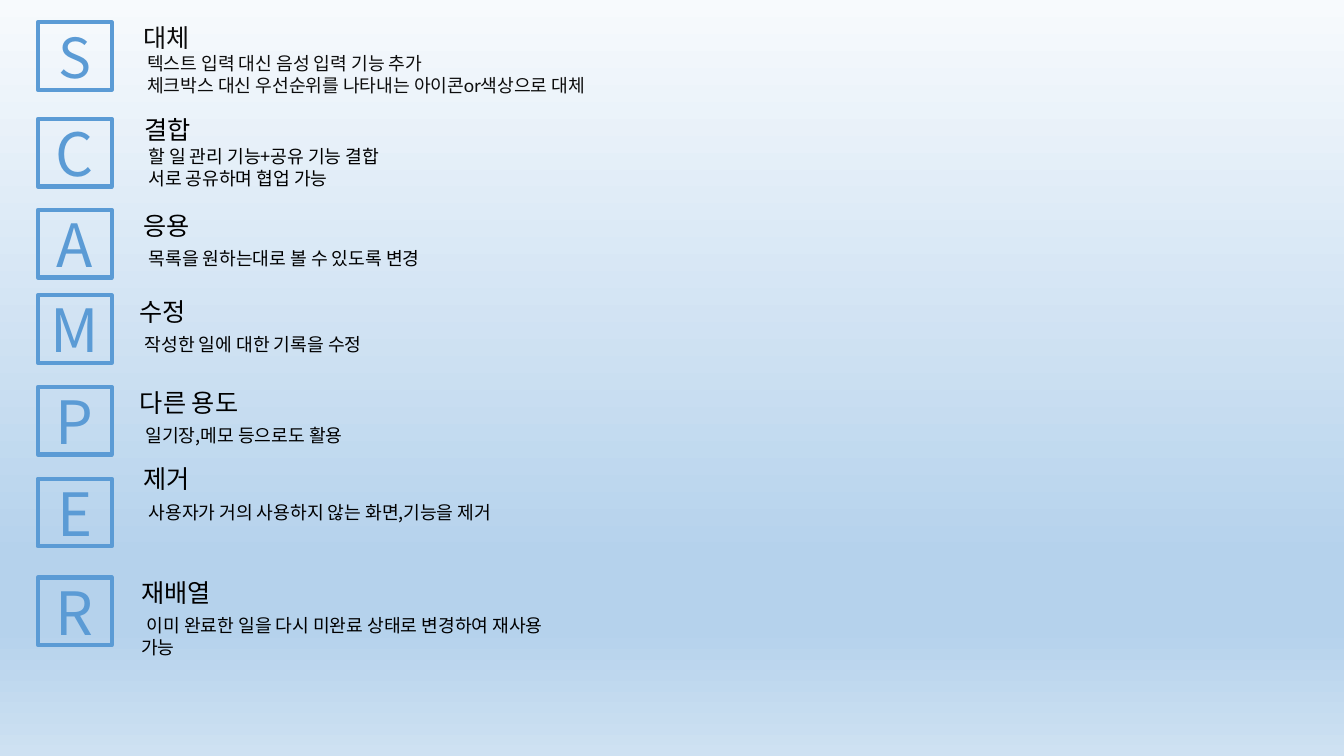
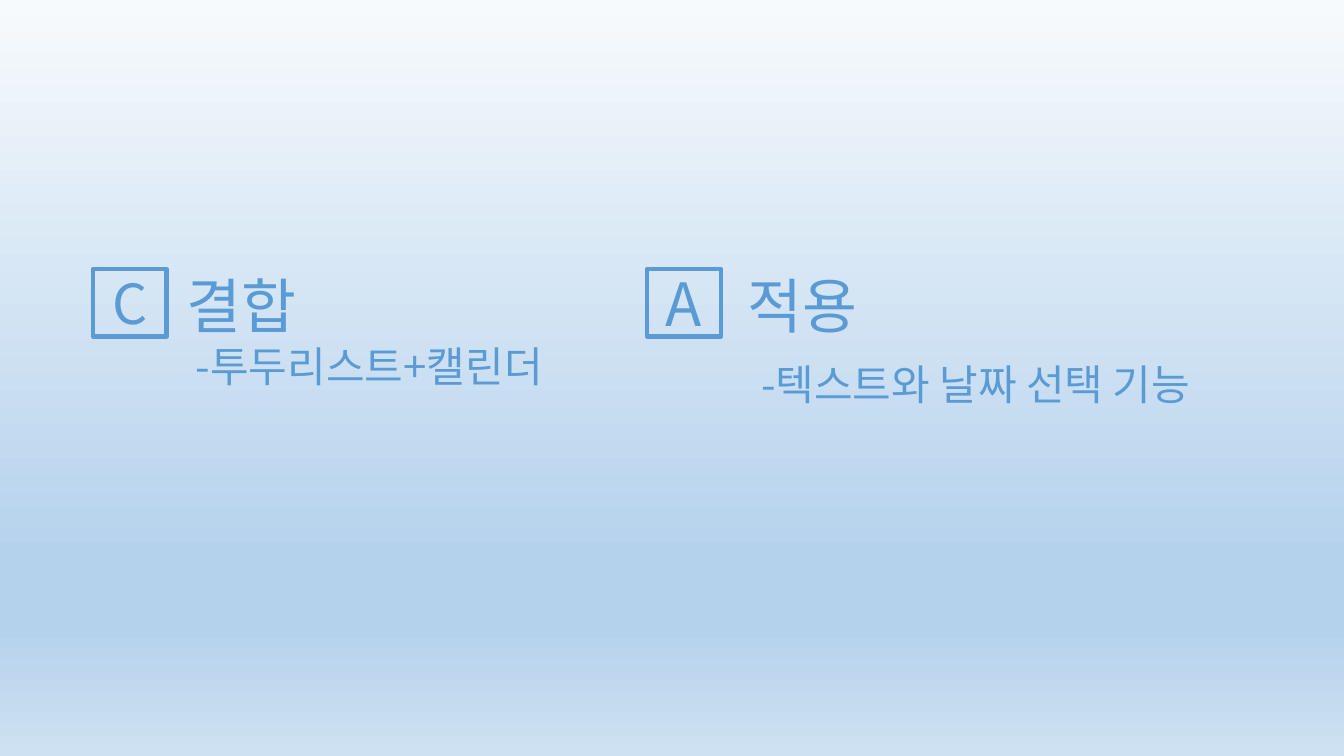
import dataclasses

import lxml.etree
import pptx
import pptx.dml.color
import pptx.enum.shapes
import pptx.enum.text
import pptx.oxml.ns
import pptx.util

Pt = pptx.util.Pt
RGBColor = pptx.dml.color.RGBColor

BLUE = RGBColor(0x5B, 0x9B, 0xD5)
BLACK = RGBColor(0, 0, 0)
CHARCOAL = RGBColor(0x0D, 0x0D, 0x0D)
MIST = RGBColor(0xF7, 0xFA, 0xFD)
SKY = RGBColor(0xB5, 0xD2, 0xEC)
PALE = RGBColor(0xCE, 0xE1, 0xF2)
BACKGROUND_STOPS = [(0, MIST), (74, SKY), (83, SKY), (100, PALE)]

KOREAN_FONT = "Noto Sans CJK KR"
LATIN_FONT = "Lato"
TILE_WIDTH, TILE_HEIGHT = 52.8, 48.2
LETTER_SIZE, FIRST_LETTER_SIZE = 42.6, 39.4


@dataclasses.dataclass
class TextStyle:
    """Sizes, colour and spacing of a heading with its details."""

    heading_size: float
    detail_size: float
    color: RGBColor
    indent: float
    gap: float = 0
    font: str = KOREAN_FONT


COMPACT = TextStyle(18, 13, BLACK, 3)
COMPACT_LATIN = TextStyle(18, 13, CHARCOAL, 3, font=LATIN_FONT)
SPACED = TextStyle(18, 13, BLACK, 4, 5)
LARGE = TextStyle(42.6, 30, BLUE, 6.7)
LARGE_SPACED = TextStyle(42.6, 30, BLUE, 9.5, 13)

SCAMPER_LEFT = 27
SCAMPER_ROWS = [
    ("S", 16, (102.2, 15.8, 353), COMPACT_LATIN, "대체",
     ["텍스트 입력 대신 음성 입력 기능 추가",
      "체크박스 대신 우선순위를 나타내는 아이콘or색상으로 대체"]),
    ("C", 85, (103, 82, 276.5), COMPACT, "결합",
     ["할 일 관리 기능+공유 기능 결합", "서로 공유하며 협업 가능"]),
    ("A", 150, (102.2, 150, 360), SPACED, "응용", ["목록을 원하는대로 볼 수 있도록 변경"]),
    ("M", 211, (99.4, 211.5, 291), SPACED, "수정", ["작성한 일에 대한 기록을 수정"]),
    ("P", 276.5, (100, 276.5, 293), SPACED, "다른 용도", ["일기장,메모 등으로도 활용"]),
    ("E", 342, (102.2, 331.2, 249), SPACED, "제거",
     ["사용자가 거의 사용하지 않는 화면,기능을 제거"]),
    ("R", 412.5, (100.8, 412.5, 293), SPACED, "재배열",
     ["이미 완료한 일을 다시 미완료 상태로 변경하여 재사용 가능"]),
]

CHOICE_TOP = 192.2
CHOICES = [
    ("C", 66.2, 133.2, 315, LARGE, "결합", "-투두리스트+캘린더"),
    ("A", 462.2, 534.2, 382, LARGE_SPACED, "적용", "-텍스트와 날짜 선택 기능"),
]


def paint_background(master):
    """Give the master the vertical gradient that all slides share."""
    fill = master.background.fill
    fill.gradient()
    fill.gradient_angle = 270
    stop_list = next(master.element.iter(pptx.oxml.ns.qn("a:gsLst")))
    for stop in list(stop_list):
        stop_list.remove(stop)
    for percent, color in BACKGROUND_STOPS:
        stop = lxml.etree.SubElement(
            stop_list, pptx.oxml.ns.qn("a:gs"), pos=str(percent * 1000))
        lxml.etree.SubElement(stop, pptx.oxml.ns.qn("a:srgbClr"), val=str(color))


def add_span(para, text, size, color, font=KOREAN_FONT):
    """Add one formatted run, with the Korean font for its Hangul."""
    span = para.add_run()
    span.text = text
    span.font.size = Pt(size)
    span.font.name = font
    span.font.color.rgb = color
    lxml.etree.SubElement(
        span.font._element, pptx.oxml.ns.qn("a:ea"), typeface=KOREAN_FONT)


def clear_margins(frame):
    """Remove the insets of a text frame."""
    frame.margin_left = frame.margin_top = 0
    frame.margin_right = frame.margin_bottom = 0


def add_tile(page, left, top, letter, size):
    """Add an outlined tile with one centred letter."""
    tile = page.shapes.add_shape(
        pptx.enum.shapes.MSO_SHAPE.RECTANGLE,
        Pt(left), Pt(top), Pt(TILE_WIDTH), Pt(TILE_HEIGHT))
    tile.shadow.inherit = False
    tile.fill.background()
    tile.line.color.rgb = BLUE
    tile.line.width = Pt(3)
    frame = tile.text_frame
    clear_margins(frame)
    frame.word_wrap = False
    frame.vertical_anchor = pptx.enum.text.MSO_ANCHOR.MIDDLE
    para = frame.paragraphs[0]
    para.alignment = pptx.enum.text.PP_ALIGN.CENTER
    add_span(para, letter, size, BLUE)


def add_idea(page, left, top, width, style, heading, details):
    """Add a heading and its indented details in one text box."""
    height = 1.2 * (style.heading_size + style.detail_size * len(details)) + style.gap
    box = page.shapes.add_textbox(Pt(left), Pt(top), Pt(width), Pt(height))
    frame = box.text_frame
    clear_margins(frame)
    frame.word_wrap = True
    add_span(frame.paragraphs[0], heading, style.heading_size, style.color, style.font)
    for detail in details:
        para = frame.add_paragraph()
        para.space_before = Pt(style.gap)
        para._p.get_or_add_pPr().set("indent", str(int(Pt(style.indent))))
        add_span(para, detail, style.detail_size, style.color, style.font)


def build_scamper(page):
    """List the seven idea prompts, one row for each letter."""
    for index, (letter, top, place, style, heading, details) in enumerate(SCAMPER_ROWS):
        size = LETTER_SIZE if index else FIRST_LETTER_SIZE
        add_tile(page, SCAMPER_LEFT, top, letter, size)
        add_idea(page, *place, style, heading, details)


def build_choices(page):
    """Show the two chosen prompts side by side."""
    for index, (letter, left, text_left, width, style, heading, detail) in enumerate(CHOICES):
        size = LETTER_SIZE if index else FIRST_LETTER_SIZE
        add_tile(page, left, CHOICE_TOP, letter, size)
        add_idea(page, text_left, CHOICE_TOP, width, style, heading, [detail])


def main():
    """Build and save the deck."""
    deck = pptx.Presentation()
    deck.slide_width, deck.slide_height = Pt(960), Pt(540)
    paint_background(deck.slide_master)
    blank = deck.slide_layouts.get_by_name("Blank")
    for build in (build_scamper, build_choices):
        build(deck.slides.add_slide(blank))
    deck.save("out.pptx")


if __name__ == "__main__":
    main()
